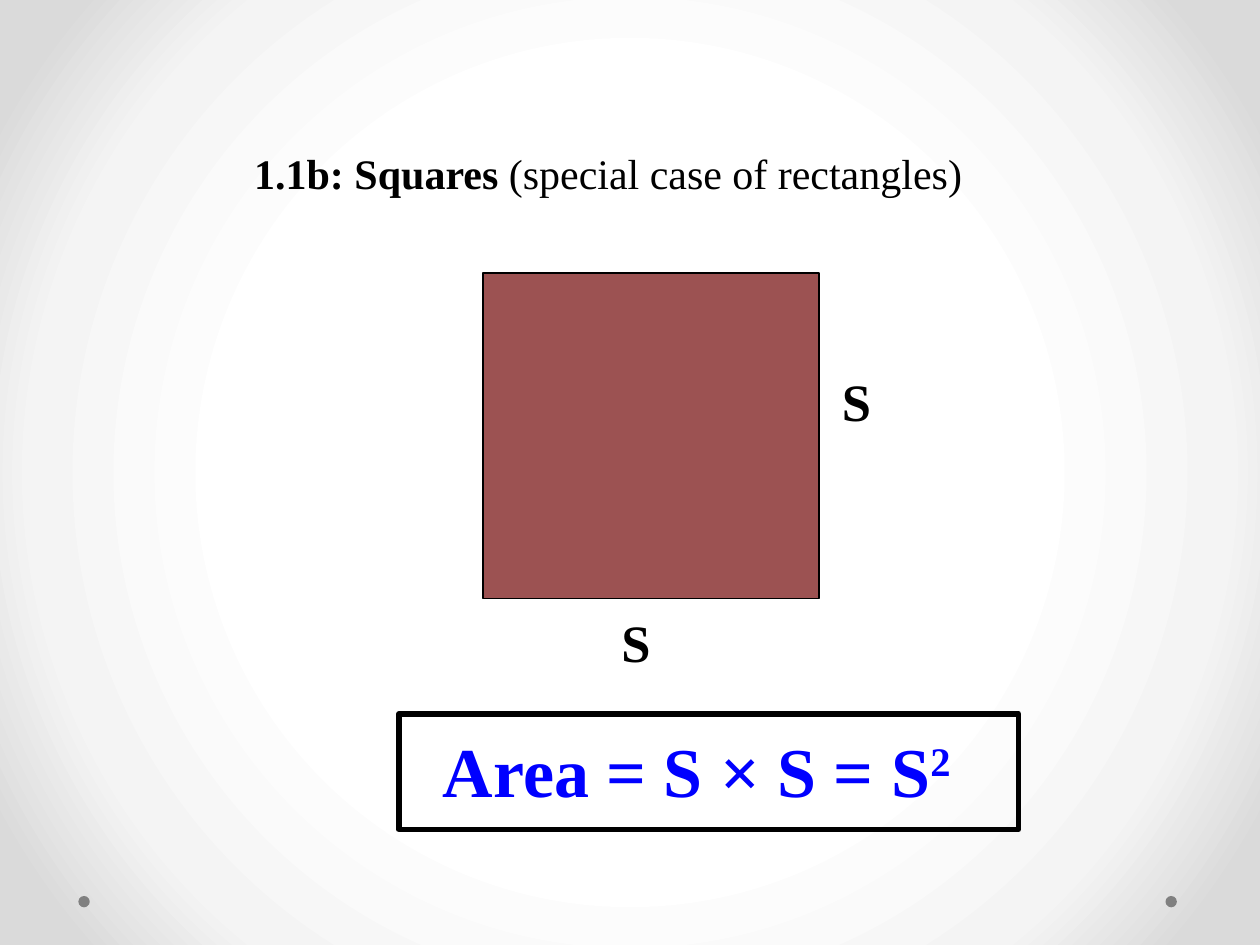
from dataclasses import dataclass
from typing import Optional

from pptx import Presentation
from pptx.dml.color import RGBColor
from pptx.enum.shapes import MSO_SHAPE
from pptx.enum.text import MSO_ANCHOR, PP_ALIGN
from pptx.oxml import parse_xml
from pptx.oxml.ns import nsdecls
from pptx.util import Pt

RECT, OVAL = MSO_SHAPE.RECTANGLE, MSO_SHAPE.OVAL
TOP, LEFT = MSO_ANCHOR.TOP, PP_ALIGN.LEFT

BLACK = RGBColor(0x00, 0x00, 0x00)
BLUE = RGBColor(0x00, 0x00, 0xFF)
GREY = RGBColor(0x80, 0x80, 0x80)
BRICK = RGBColor(0x9C, 0x52, 0x52)
WHITE = RGBColor(0xFF, 0xFF, 0xFF)
PALE = RGBColor(0xF4, 0xF4, 0xF4)
SILVER = RGBColor(0xDA, 0xDA, 0xDA)

FONT = "Times New Roman"
BACKGROUND_STOPS = ((50, WHITE), (76, PALE), (92, SILVER))


@dataclass
class Box:
    left: float
    top: float
    width: float
    height: float

    def lengths(self) -> tuple:
        return tuple(Pt(v) for v in (self.left, self.top, self.width, self.height))


@dataclass
class Figure:
    kind: MSO_SHAPE
    box: Box
    fill: Optional[RGBColor] = None
    line_width: float = 0


@dataclass
class Run:
    text: str
    bold: bool = True
    baseline: int = 0


@dataclass
class Label:
    box: Box
    size: float
    runs: tuple
    color: RGBColor = BLACK


DOTS = [Figure(OVAL, Box(left, 512, 6.5, 6.5), GREY) for left in (666, 44.8)]
SQUARE = Figure(RECT, Box(276, 156, 192, 186), BRICK, 1)
FORMULA_FRAME = Figure(RECT, Box(228, 408, 354, 66), line_width=3.25)

TITLE = Label(Box(138, 78, 516, 36), 24,
              (Run("1.1b: Squares "), Run("(special case of rectangles)", bold=False)))
SIDES = [Label(Box(left, top, 78, 43), 30, (Run("S"),))
         for left, top in ((474, 204), (348, 342))]
FORMULA = Label(Box(246, 408, 342, 55.5), 40,
                (Run("Area = S × S = S"), Run("2", baseline=30)), BLUE)


def set_background(s) -> None:
    """Give the slide a circular gradient around its centre."""
    s.background.fill.solid()
    bg_pr = s._element.cSld.bg.bgPr
    stops = "".join(f'<a:gs pos="{pos * 1000}"><a:srgbClr val="{color}"/></a:gs>'
                    for pos, color in BACKGROUND_STOPS)
    gradient = parse_xml(
        f'<a:gradFill {nsdecls("a")} rotWithShape="1"><a:gsLst>{stops}</a:gsLst>'
        '<a:path path="circle"><a:fillToRect l="50000" t="50000" r="50000" b="50000"/>'
        '</a:path></a:gradFill>')
    bg_pr.replace(bg_pr[0], gradient)


def draw_figure(s, figure: Figure) -> None:
    sp = s.shapes.add_shape(figure.kind, *figure.box.lengths())
    sp.shadow.inherit = False
    if figure.fill is None:
        sp.fill.background()
    else:
        sp.fill.solid()
        sp.fill.fore_color.rgb = figure.fill
    if figure.line_width:
        sp.line.color.rgb = BLACK
        sp.line.width = Pt(figure.line_width)
    else:
        sp.line.fill.background()


def write_label(sp, label: Label) -> None:
    sp.left, sp.top, sp.width, sp.height = label.box.lengths()
    tf = sp.text_frame
    frame_format = {
        "word_wrap": True, "vertical_anchor": TOP,
        "margin_left": Pt(7.2), "margin_right": Pt(7.2),
        "margin_top": Pt(3.6 + label.size / 10), "margin_bottom": Pt(0),
    }
    for name, value in frame_format.items():
        setattr(tf, name, value)
    p = tf.paragraphs[0]
    for name, value in {"alignment": LEFT, "space_before": Pt(0), "line_spacing": 1.0}.items():
        setattr(p, name, value)
    for run in label.runs:
        r = p.add_run()
        r.text = run.text
        for name, value in {"name": FONT, "size": Pt(label.size), "bold": run.bold}.items():
            setattr(r.font, name, value)
        r.font.color.rgb = label.color
        if run.baseline:
            r._r.get_or_add_rPr().set("baseline", str(run.baseline * 1000))


def add_label(s, label: Label) -> None:
    write_label(s.shapes.add_textbox(*label.box.lengths()), label)


def main() -> None:
    prs = Presentation()
    prs.slide_width, prs.slide_height = Pt(720), Pt(540)
    s = prs.slides.add_slide(prs.slide_layouts[5])
    set_background(s)
    write_label(s.shapes.title, TITLE)
    for figure in (*DOTS, SQUARE):
        draw_figure(s, figure)
    for label in (*SIDES, FORMULA):
        add_label(s, label)
    draw_figure(s, FORMULA_FRAME)
    prs.save("out.pptx")


if __name__ == "__main__":
    main()
